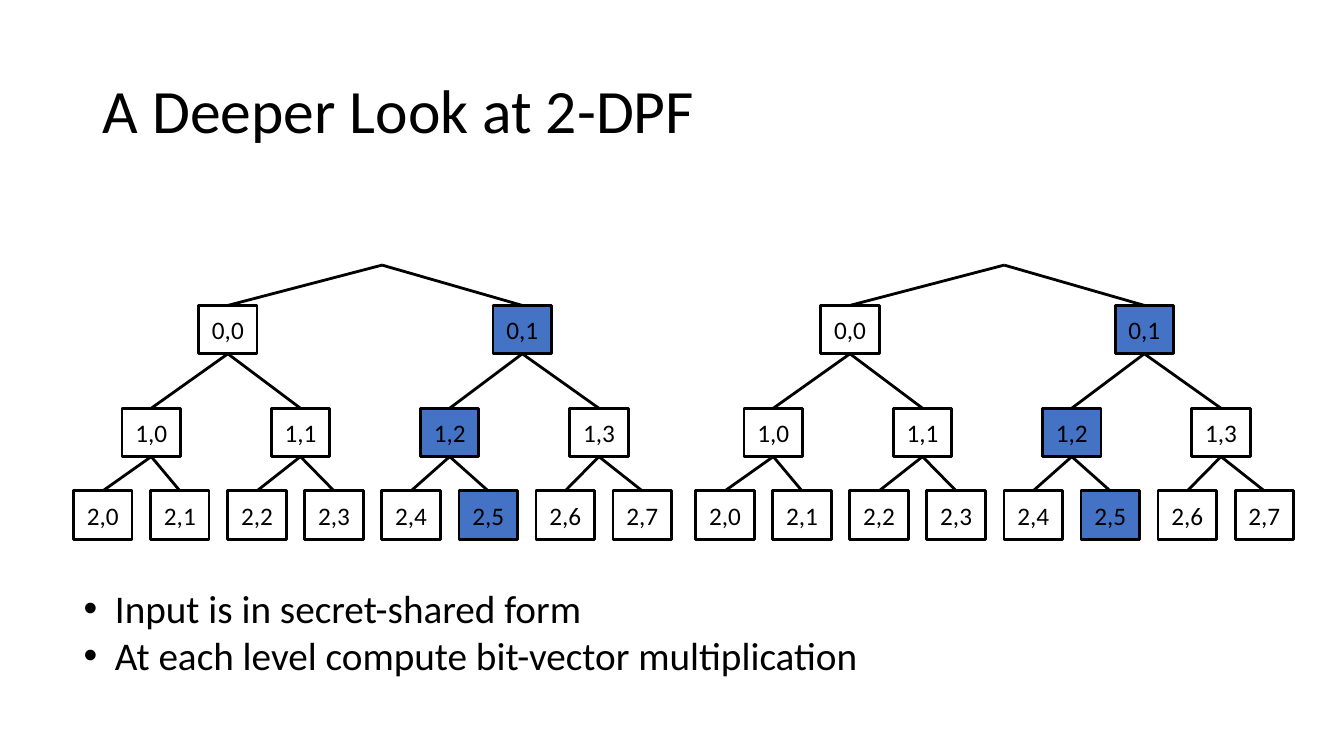
from dataclasses import dataclass
from typing import Optional

from lxml import etree
from pptx import Presentation
from pptx.dml.color import RGBColor
from pptx.enum import shapes, text
from pptx.oxml import ns
from pptx.util import Inches, Pt

BLACK = RGBColor(0x00, 0x00, 0x00)
WHITE = RGBColor(0xFF, 0xFF, 0xFF)
BLUE = RGBColor(0x44, 0x72, 0xC4)
FONT = "Calibri"

NODE_WIDTH, NODE_HEIGHT = 0.58, 0.48
ROOT_X, ROOT_Y = 3.79, 2.63
TREE_OFFSETS = (0, 6.17)
BULLETS = (
    "Input is in secret-shared form",
    "At each level compute bit-vector multiplication",
)


@dataclass(frozen=True)
class Level:
    """One row of nodes, spread evenly from the first left edge to the last."""
    count: int
    first: float
    last: float
    top: float
    marked: int

    def left(self, index: int) -> float:
        return self.first + index * (self.last - self.first) / (self.count - 1)


LEVELS = (
    Level(2, 1.97, 4.89, 3.03, marked=1),
    Level(4, 1.21, 5.65, 4.05, marked=2),
    Level(8, 0.73, 6.08, 4.87, marked=5),
)


def write(para, words: str, *, size: float, align=text.PP_ALIGN.LEFT,
          spacing: float = 1.0) -> None:
    para.alignment = align
    para.line_spacing = spacing
    para.space_before = para.space_after = Pt(0)
    span = para.add_run()
    span.text = words
    span.font.name = FONT
    span.font.size = Pt(size)
    span.font.color.rgb = BLACK


def place(box, left: float, top: float, width: float, height: float) -> None:
    box.left, box.top = Inches(left), Inches(top)
    box.width, box.height = Inches(width), Inches(height)


def add_bullet(para, indent: float) -> None:
    properties = para._p.get_or_add_pPr()
    properties.set("marL", str(Inches(indent)))
    properties.set("indent", str(-Inches(indent)))
    font = etree.SubElement(properties, ns.qn("a:buFont"))
    font.set("typeface", "Arial")
    etree.SubElement(properties, ns.qn("a:buChar")).set("char", "•")


def add_node(group, left: float, top: float, label: str, fill: RGBColor):
    box = group.shapes.add_shape(
        shapes.MSO_SHAPE.RECTANGLE, Inches(left), Inches(top),
        Inches(NODE_WIDTH), Inches(NODE_HEIGHT))
    box.shadow.inherit = False
    box.fill.solid()
    box.fill.fore_color.rgb = fill
    box.line.color.rgb = BLACK
    box.line.width = Pt(2)
    frame = box.text_frame
    frame.margin_left = frame.margin_right = 0
    frame.vertical_anchor = text.MSO_ANCHOR.MIDDLE
    write(frame.paragraphs[0], label, size=18, align=text.PP_ALIGN.CENTER)
    return box


def add_branch(group, x: int, y: int, child, parent: Optional[object] = None) -> None:
    line = group.shapes.add_connector(
        shapes.MSO_CONNECTOR.STRAIGHT, x, y,
        child.left + child.width // 2, child.top)
    if parent is not None:
        line.begin_connect(parent, 2)
    line.end_connect(child, 0)
    line.line.color.rgb = BLACK
    line.line.width = Pt(2)
    etree.SubElement(line._element.spPr, ns.qn("a:effectLst"))


def add_tree(page, offset: float) -> None:
    group = page.shapes.add_group_shape()
    rows = [
        [add_node(group, offset + level.left(index), level.top, f"{depth},{index}",
                  BLUE if index == level.marked else WHITE)
         for index in range(level.count)]
        for depth, level in enumerate(LEVELS)
    ]
    for child in rows[0]:
        add_branch(group, Inches(offset + ROOT_X), Inches(ROOT_Y), child)
    for parents, children in zip(rows, rows[1:]):
        for index, child in enumerate(children):
            parent = parents[index // 2]
            add_branch(group, parent.left + parent.width // 2,
                       parent.top + parent.height, child, parent)


def main() -> None:
    deck = Presentation()
    deck.slide_width, deck.slide_height = Inches(13.33), Inches(7.5)
    page = deck.slides.add_slide(deck.slide_layouts[1])

    # Title
    title = page.shapes.title
    place(title, 0.92, 0.4, 11.5, 1.45)
    title.text_frame.auto_size = text.MSO_AUTO_SIZE.NONE
    title.text_frame.vertical_anchor = text.MSO_ANCHOR.MIDDLE
    write(title.text_frame.paragraphs[0], "A Deeper Look at 2-DPF",
          size=44, spacing=0.9)

    # One tree per party
    for offset in TREE_OFFSETS:
        add_tree(page, offset)

    # Bullet list
    body = page.placeholders[1]
    place(body, 0.73, 5.75, 11.92, 1.04)
    frame = body.text_frame
    frame.auto_size = text.MSO_AUTO_SIZE.NONE
    frame.vertical_anchor = text.MSO_ANCHOR.TOP
    for index, words in enumerate(BULLETS):
        para = frame.add_paragraph() if index else frame.paragraphs[0]
        add_bullet(para, 0.31)
        write(para, words, size=28)

    deck.save("out.pptx")


if __name__ == "__main__":
    main()
